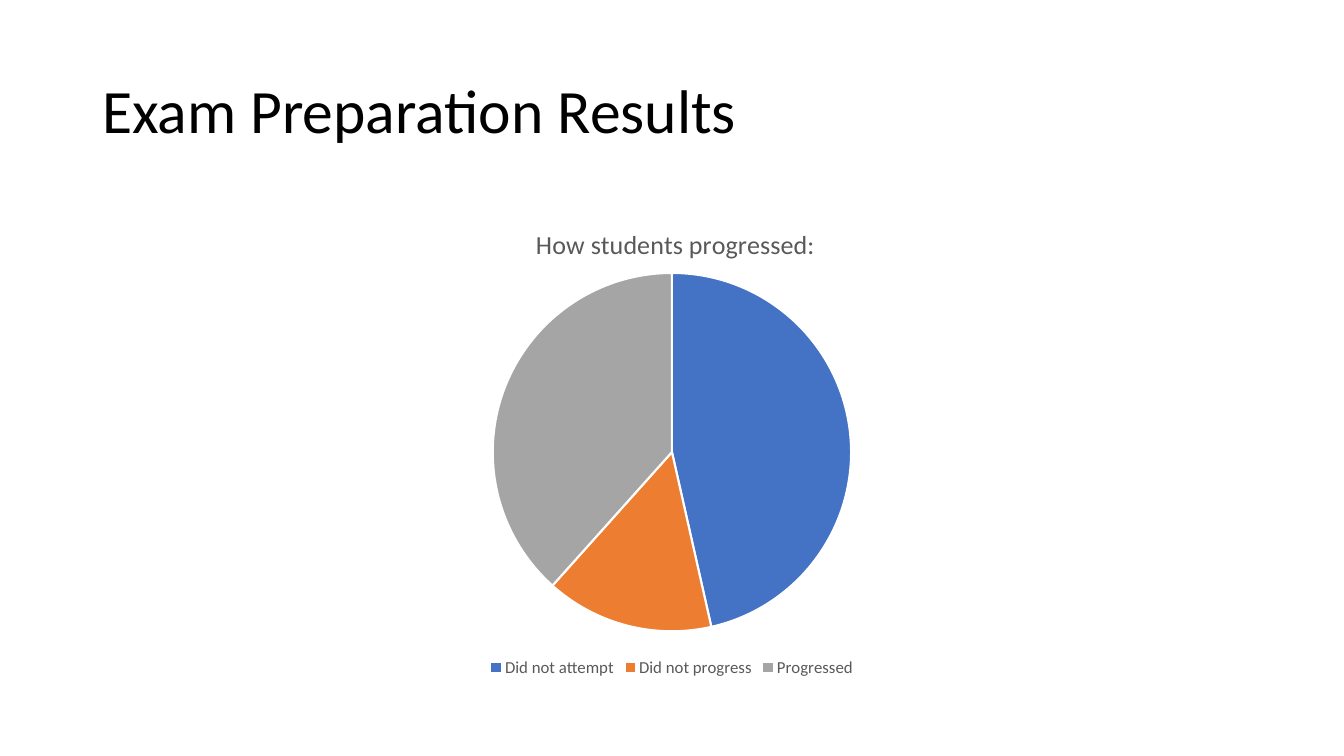
from lxml import etree
from pptx import Presentation
from pptx.chart.data import CategoryChartData
from pptx.dml.color import RGBColor
from pptx.enum import chart as charts, text
from pptx.oxml import parse_xml
from pptx.util import Pt

# Content
HEADING = "Exam Preparation Results"
CHART_TITLE = "How students progressed:"
SERIES = "Series 1"
PROGRESS = [
    ("Did not attempt", 46, "4472C4"),
    ("Did not progress", 15, "ED7D31"),
    ("Progressed", 38, "A5A5A5"),
]


class Theme:
    font = "Calibri"
    ink, muted, paper = "000000", "595959", "FFFFFF"
    heading, chart_title, legend = 44, 18.6, 12
    slice_border = 1.5


# Geometry in points
SLIDE = (960, 540)
MARGIN = 66
WIDTH = SLIDE[0] - 2 * MARGIN
HEADING_BOX = (MARGIN, 28.8, WIDTH, 104.4)
CHART_BOX = (MARGIN, 144, WIDTH, 342.7)
PIE_SIZE, PIE_TOP = 256, 51
TITLE_LEFT, TITLE_TOP = 313.5, 14.5
CHART_NS = "http://schemas.openxmlformats.org/drawingml/2006/chart"


def style_font(font, size, color):
    font.name = Theme.font
    font.size = Pt(size)
    font.bold = False
    font.color.rgb = RGBColor.from_string(color)


def write(frame, words, *, size, color, line_spacing=None):
    paragraph = frame.paragraphs[0]
    paragraph.line_spacing = line_spacing
    run = paragraph.add_run()
    run.text = words
    style_font(run.font, size, color)


def manual_layout(inner=False, **fractions):
    """Chart layout element with positions as fractions of the chart box."""
    layout = parse_xml(f'<c:layout xmlns:c="{CHART_NS}"><c:manualLayout/></c:layout>')
    settings = {"layoutTarget": "inner"} if inner else {}
    settings |= {"xMode": "edge", "yMode": "edge"}
    settings |= {key: f"{value:.4f}" for key, value in fractions.items()}
    for tag, value in settings.items():
        etree.SubElement(layout[0], f"{{{CHART_NS}}}{tag}").set("val", value)
    return layout


def add_heading(slide):
    frame = slide.shapes.add_textbox(*map(Pt, HEADING_BOX)).text_frame
    frame.word_wrap = True
    frame.vertical_anchor = text.MSO_ANCHOR.MIDDLE
    write(frame, HEADING, size=Theme.heading, color=Theme.ink, line_spacing=0.9)


def add_progress_pie(slide):
    data = CategoryChartData()
    data.categories = [label for label, _, _ in PROGRESS]
    data.add_series(SERIES, [share for _, share, _ in PROGRESS])
    pie = slide.shapes.add_chart(
        charts.XL_CHART_TYPE.PIE, *map(Pt, CHART_BOX), data).chart
    style_font(pie.font, 10, Theme.ink)

    # Slices
    plot = pie.plots[0]
    plot.vary_by_categories = True
    for index, (_, _, color) in enumerate(PROGRESS):
        slice_format = plot.series[0].points[index].format
        slice_format.fill.solid()
        slice_format.fill.fore_color.rgb = RGBColor.from_string(color)
        slice_format.line.color.rgb = RGBColor.from_string(Theme.paper)
        slice_format.line.width = Pt(Theme.slice_border)

    # Title and legend
    pie.has_title = True
    write(pie.chart_title.text_frame, CHART_TITLE,
          size=Theme.chart_title, color=Theme.muted)
    pie.chart_title.include_in_layout = False
    pie.has_legend = True
    pie.legend.position = charts.XL_LEGEND_POSITION.BOTTOM
    pie.legend.include_in_layout = False
    style_font(pie.legend.font, Theme.legend, Theme.muted)

    # Placement inside the chart box
    _, _, width, height = CHART_BOX
    layouts = {
        "title": manual_layout(x=TITLE_LEFT / width, y=TITLE_TOP / height),
        "plotArea": manual_layout(
            inner=True, x=(width - PIE_SIZE) / 2 / width, y=PIE_TOP / height,
            w=PIE_SIZE / width, h=PIE_SIZE / height),
    }
    chart_xml = pie.element.find(f"{{{CHART_NS}}}chart")
    for tag, layout in layouts.items():
        parent = chart_xml.find(f"{{{CHART_NS}}}{tag}")
        for old in parent.findall(f"{{{CHART_NS}}}layout"):
            parent.remove(old)
        parent.insert(1 if tag == "title" else 0, layout)


def main():
    deck = Presentation()
    deck.slide_width, deck.slide_height = map(Pt, SLIDE)
    slide = deck.slides.add_slide(deck.slide_layouts[6])
    add_heading(slide)
    add_progress_pie(slide)
    deck.save("out.pptx")


if __name__ == "__main__":
    main()
